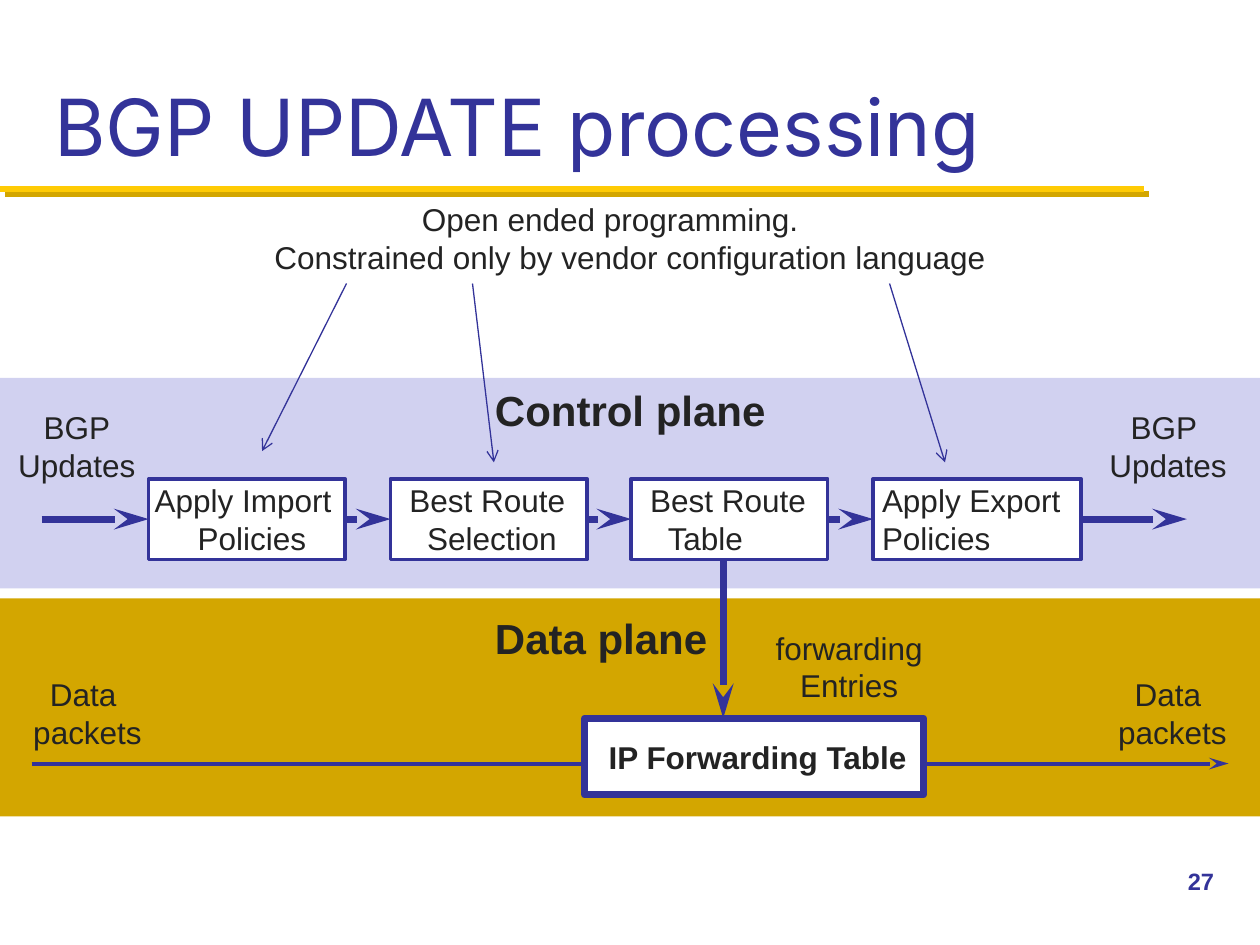
from dataclasses import dataclass

from lxml import etree
from pptx import Presentation
from pptx import util as u
from pptx.dml.color import RGBColor
from pptx.enum import shapes, text
from pptx.oxml import ns

NAVY, INK, WHITE = "333399", "232323", "FFFFFF"
LILAC, GOLD, YELLOW = "D1D1F0", "D3A600", "FFCB05"
LEFT, CENTER = text.PP_ALIGN.LEFT, text.PP_ALIGN.CENTER
FLOW_TOP, FLOW_H = 3.8, 0.64
FLOW_Y = FLOW_TOP + FLOW_H / 2


@dataclass
class Step:
    words: str
    left: float
    width: float = 1.56
    pad_left: float = 0.15
    pad_right: float = 0
    align: int = LEFT
    indent: float = 0.14


@dataclass
class Label:
    words: str
    left: float
    top: float
    width: float
    height: float = 0.71
    align: int = CENTER
    size: float = 18
    bold: bool = False
    color: str = INK


STEPS = [
    Step("Apply Import\nPolicies", 1.18, pad_left=0, pad_right=0.06, align=CENTER),
    Step("Best Route\nSelection", 3.1),
    Step("Best Route\nTable", 5.01),
    Step("Apply Export\nPolicies", 6.93, width=1.65, pad_left=0.07, indent=0),
]

LABELS = [
    Label("BGP\nUpdates", 0.04, 3.19, 1.14),
    Label("BGP \nUpdates", 8.7, 3.19, 1.14),
    Label("Data \vpackets", 0.16, 5.31, 1.07),
    Label("Data \vpackets", 8.77, 5.31, 1.07),
    Label("forwarding\nEntries", 6.05, 4.94, 1.38),
    Label("Control plane", 3.83, 3, 2.37, 0.5, LEFT, 24, True),
    Label("Data plane", 3.83, 4.81, 1.9, 0.5, LEFT, 24, True),
    Label("27", 9.33, 6.83, 0.67, 0.5, LEFT, 13.5, True, NAVY),
]

POINTERS = [
    ((2.75, 2.25), (2.08, 3.58)),
    ((3.75, 2.25), (3.92, 3.67)),
    ((7.06, 2.25), (7.5, 3.67)),
]


def rgb(color: str) -> RGBColor:
    return RGBColor.from_string(color)


def write(sp, words: str, *, size: float = 18, color: str = INK, font: str = "Arial",
          bold: bool = False, align: int = LEFT, anchor=text.MSO_ANCHOR.TOP,
          wrap: bool = True, pad_left: float = 0.1, pad_right: float = 0.1,
          indent: float = 0) -> None:
    """Fill a shape with formatted text; indent moves the second paragraph (first if negative)."""
    tf = sp.text_frame
    tf.text = words
    tf.word_wrap = wrap
    tf.vertical_anchor = anchor
    tf.margin_left, tf.margin_right = u.Inches(pad_left), u.Inches(pad_right)
    tf.margin_top = tf.margin_bottom = u.Inches(0.05)
    for i, p in enumerate(tf.paragraphs):
        p.alignment = align
        shift = indent if i else -indent
        if shift > 0:
            p._p.get_or_add_pPr().set("marL", str(u.Inches(shift)))
        for r in p.runs:
            r.font.size, r.font.name, r.font.bold = u.Pt(size), font, bold
            r.font.color.rgb = rgb(color)


def add_rect(slide, left: float, top: float, width: float, height: float, fill: str,
             line_width: float = 0):
    sp = slide.shapes.add_shape(shapes.MSO_SHAPE.RECTANGLE, u.Inches(left), u.Inches(top),
                                u.Inches(width), u.Inches(height))
    sp.shadow.inherit = False
    sp.fill.solid()
    sp.fill.fore_color.rgb = rgb(fill)
    if line_width:
        sp.line.color.rgb = rgb(NAVY)
        sp.line.width = u.Pt(line_width)
    else:
        sp.line.fill.background()
    return sp


def add_line(slide, start: tuple[float, float], end: tuple[float, float], width: float,
             color: str = NAVY, tail: str = "", tail_length: str = "lg", shadow: str = ""):
    line = slide.shapes.add_connector(shapes.MSO_CONNECTOR.STRAIGHT,
                                      *(u.Inches(v) for v in (*start, *end)))
    line.line.color.rgb = rgb(color)
    line.line.width = u.Pt(width)
    if tail:
        etree.SubElement(line.line._get_or_add_ln(), ns.qn("a:tailEnd"),
                         type=tail, w="med", len=tail_length)
    effects = etree.SubElement(line._element.spPr, ns.qn("a:effectLst"))
    if shadow:
        outer = etree.SubElement(effects, ns.qn("a:outerShdw"), dist=str(u.Pt(4.2)),
                                 dir="2700000", algn="ctr", rotWithShape="0")
        etree.SubElement(outer, ns.qn("a:srgbClr"), val=shadow)
    return line


def add_label(slide, label: Label, **form) -> None:
    sp = slide.shapes.add_textbox(*(u.Inches(v) for v in (label.left, label.top,
                                                          label.width, label.height)))
    write(sp, label.words, size=label.size, color=label.color, bold=label.bold,
          align=label.align, wrap=False, **form)


def add_step(slide, step: Step):
    sp = add_rect(slide, step.left, FLOW_TOP, step.width, FLOW_H, WHITE, 2)
    write(sp, step.words, align=step.align, anchor=text.MSO_ANCHOR.MIDDLE,
          pad_left=step.pad_left, pad_right=step.pad_right, indent=step.indent)
    return sp


def add_flow(slide) -> None:
    """Draw the steps and the arrows into, between and out of them."""
    boxes = [add_step(slide, step) for step in STEPS]
    stops = [0.33, *(step.left for step in STEPS), 9.42]
    exits = [stops[0], *(step.left + step.width for step in STEPS)]
    for x1, x2, source, target in zip(exits, stops[1:], [None, *boxes], [*boxes, None]):
        line = add_line(slide, (x1, FLOW_Y), (x2, FLOW_Y), 4, tail="stealth")
        if source:
            line.begin_connect(source, 3)
        if target:
            line.end_connect(target, 1)


def main() -> None:
    prs = Presentation()
    prs.slide_width, prs.slide_height = u.Inches(10), u.Inches(7.5)
    slide = prs.slides.add_slide(prs.slide_layouts[5])

    title = slide.shapes.title
    title.left, title.top = u.Inches(0.33), u.Inches(0.17)
    title.width, title.height = u.Inches(9.33), u.Inches(1.25)
    write(title, "BGP UPDATE processing", size=45, color=NAVY, font="Inter",
          anchor=text.MSO_ANCHOR.BOTTOM)
    add_line(slide, (0, 1.5), (9.08, 1.5), 3.5, YELLOW, shadow=GOLD)

    add_rect(slide, 0, 3, 10, 1.67, LILAC)
    add_rect(slide, 0, 4.75, 10, 1.73, GOLD)
    add_line(slide, (0.25, 6.06), (9.75, 6.06), 2.25, tail="stealth")

    add_flow(slide)
    add_line(slide, (5.74, 4.45), (5.74, 5.7), 4, tail="stealth")
    table = add_rect(slide, 4.64, 5.7, 2.69, 0.61, WHITE, 4)
    write(table, "IP Forwarding Table", bold=True, anchor=text.MSO_ANCHOR.MIDDLE,
          pad_left=0.19, pad_right=0)

    for label in LABELS:
        add_label(slide, label)
    add_label(slide, Label("Open ended programming.\n"
                           "Constrained only by vendor configuration language",
                           2.08, 1.54, 5.9, align=LEFT), indent=-1.17)
    for start, end in POINTERS:
        add_line(slide, start, end, 0.75, tail="arrow", tail_length="med")

    prs.save("out.pptx")


if __name__ == "__main__":
    main()
